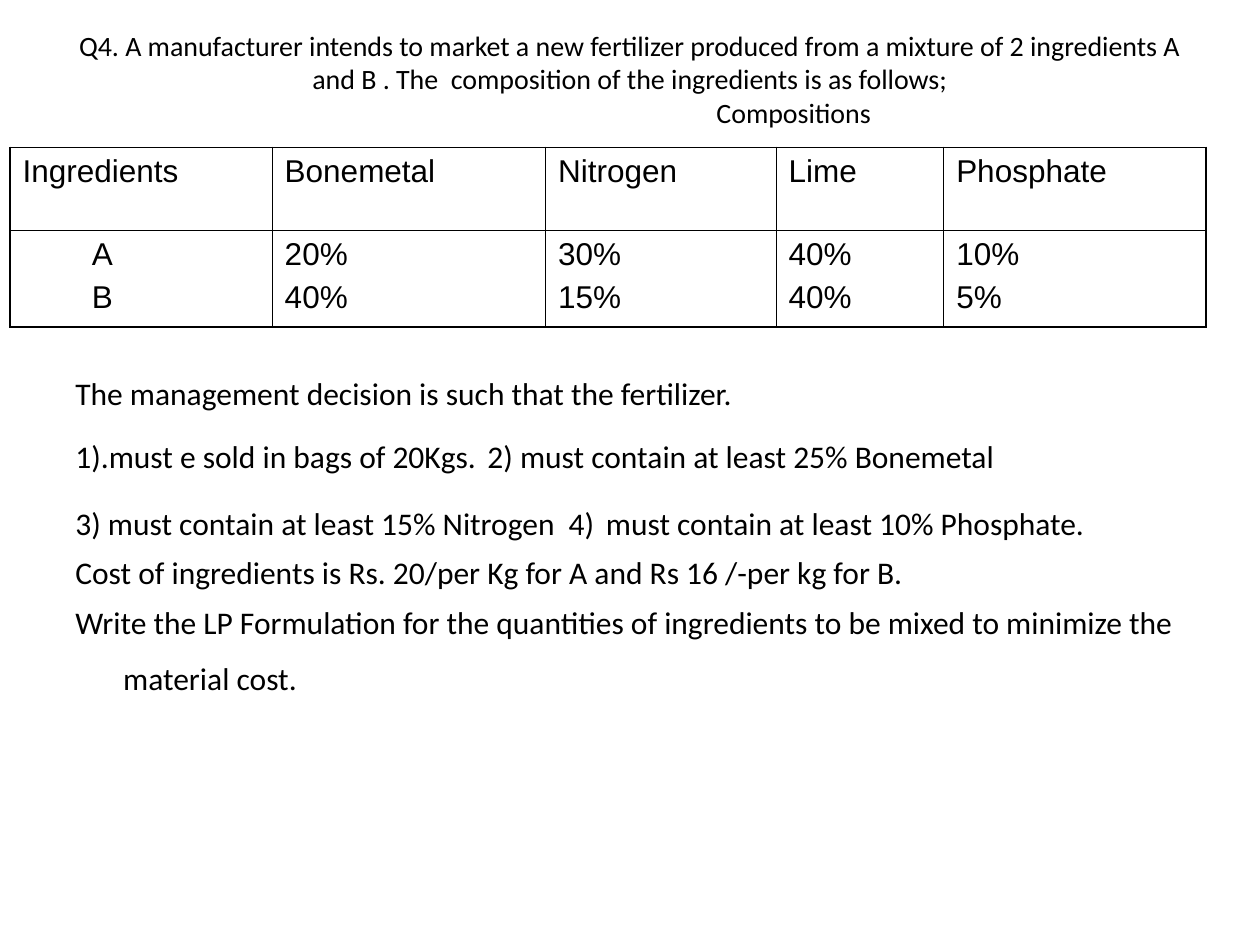
from dataclasses import dataclass

from lxml.etree import SubElement
from pptx import Presentation
from pptx.dml.color import RGBColor
from pptx.enum.text import MSO_ANCHOR as Anchor, PP_ALIGN as Align
from pptx.oxml.ns import qn
from pptx.util import Inches, Pt


@dataclass(frozen=True)
class Theme:
    ink: RGBColor = RGBColor(0, 0, 0)
    text_font: str = "Calibri"
    table_font: str = "Arial"
    title_size: float = 16
    body_size: float = 18
    gap_size: float = 28
    inner_line: float = 0.45
    outer_line: float = 1.08


THEME = Theme()
WIDE_GAP = (" ", THEME.gap_size)

COLUMN_WIDTHS = [2.08, 2.17, 1.83, 1.33, 2.08]
ROW_HEIGHTS = [0.66, 0.76]
COMPOSITION = [
    [["Ingredients"], ["Bonemetal"], ["Nitrogen"], ["Lime"], ["Phosphate"]],
    [["A", "B"], ["20%", "40%"], ["30%", "15%"], ["40%", "40%"], ["10%", "5%"]],
]
CONDITIONS = [
    ["The management decision is such that the fertilizer."],
    ["1).must e sold in bags of 20Kgs.", WIDE_GAP,
     "2) must contain at least 25% Bonemetal"],
    ["3) must contain at least 15% Nitrogen  4)", WIDE_GAP,
     "must contain at least 10% Phosphate."],
    ["Cost of ingredients is Rs. 20/per Kg for A and Rs 16 /-per kg for B."],
    ["Write the LP Formulation for the quantities of ingredients to be mixed "
     "to minimize the material cost.", WIDE_GAP],
]


def write(frame, spans, *, first=False, size=THEME.body_size, font=THEME.text_font,
          align=Align.LEFT, before=0, left=0, hanging=0):
    """Add a paragraph; a span is a string or a (string, size) pair."""
    para = frame.paragraphs[0] if first else frame.add_paragraph()
    para.alignment = align
    para.space_before = Pt(0 if first else before)
    props = para._p.get_or_add_pPr()
    props.set("marL", str(Inches(left)))
    props.set("indent", str(-Inches(hanging)))
    for item in spans:
        words, span_size = (item, size) if isinstance(item, str) else item
        span = para.add_run()
        span.text = words
        span.font.size = Pt(span_size)
        span.font.name = font
        span.font.color.rgb = THEME.ink


def add_text_frame(page, left, top, width, height, anchor=Anchor.TOP):
    box = page.shapes.add_textbox(*map(Inches, (left, top, width, height)))
    frame = box.text_frame
    frame.word_wrap = True
    frame.vertical_anchor = anchor
    return frame


def draw_question(page, left, top, width, height):
    frame = add_text_frame(page, left, top, width, height, Anchor.MIDDLE)
    style = dict(size=THEME.title_size, align=Align.CENTER)
    write(frame, ["Q4. A manufacturer intends to market a new fertilizer produced from "
                  "a mixture of 2 ingredients A and B . The  composition of the "
                  "ingredients is as follows;"], first=True, **style)
    write(frame, ["Compositions"], left=2.6, **style)


def set_borders(cell, outer_sides):
    props = cell._tc.get_or_add_tcPr()
    for side in "LRTB":
        weight = THEME.outer_line if side in outer_sides else THEME.inner_line
        line = SubElement(props, qn(f"a:ln{side}"), w=str(Pt(weight)))
        fill = SubElement(line, qn("a:solidFill"))
        SubElement(fill, qn("a:srgbClr"), val=str(THEME.ink))


def draw_composition(page, left, top):
    rows, columns = len(ROW_HEIGHTS), len(COLUMN_WIDTHS)
    table = page.shapes.add_table(
        rows, columns, Inches(left), Inches(top),
        Inches(sum(COLUMN_WIDTHS)), Inches(sum(ROW_HEIGHTS))).table
    table.first_row = table.horz_banding = False
    for column, width in zip(table.columns, COLUMN_WIDTHS):
        column.width = Inches(width)
    for row, height in zip(table.rows, ROW_HEIGHTS):
        row.height = Inches(height)

    for r, row in enumerate(COMPOSITION):
        for c, entries in enumerate(row):
            cell = table.cell(r, c)
            edges = {"T": r == 0, "B": r == rows - 1, "L": c == 0, "R": c == columns - 1}
            set_borders(cell, [side for side, is_outer in edges.items() if is_outer])
            cell.fill.background()
            indent = 0.55 if r > 0 and c == 0 else 0
            for i, entry in enumerate(entries):
                write(cell.text_frame, [entry], first=i == 0, font=THEME.table_font,
                      before=4.5, left=indent)


def draw_conditions(page, left, top, width, height):
    frame = add_text_frame(page, left, top, width, height)
    for i, spans in enumerate(CONDITIONS):
        is_last = i == len(CONDITIONS) - 1
        write(frame, spans, first=i == 0, before=7 if is_last else 4.5,
              left=0.38, hanging=0.38)


def main():
    deck = Presentation()
    deck.slide_width, deck.slide_height = Inches(10), Inches(7.5)
    page = deck.slides.add_slide(deck.slide_layouts[6])
    draw_question(page, 0.5, 0, 9, 1.25)
    draw_conditions(page, 0.5, 2.92, 9.17, 4.58)
    draw_composition(page, 0.08, 1.17)
    deck.save("out.pptx")


if __name__ == "__main__":
    main()
